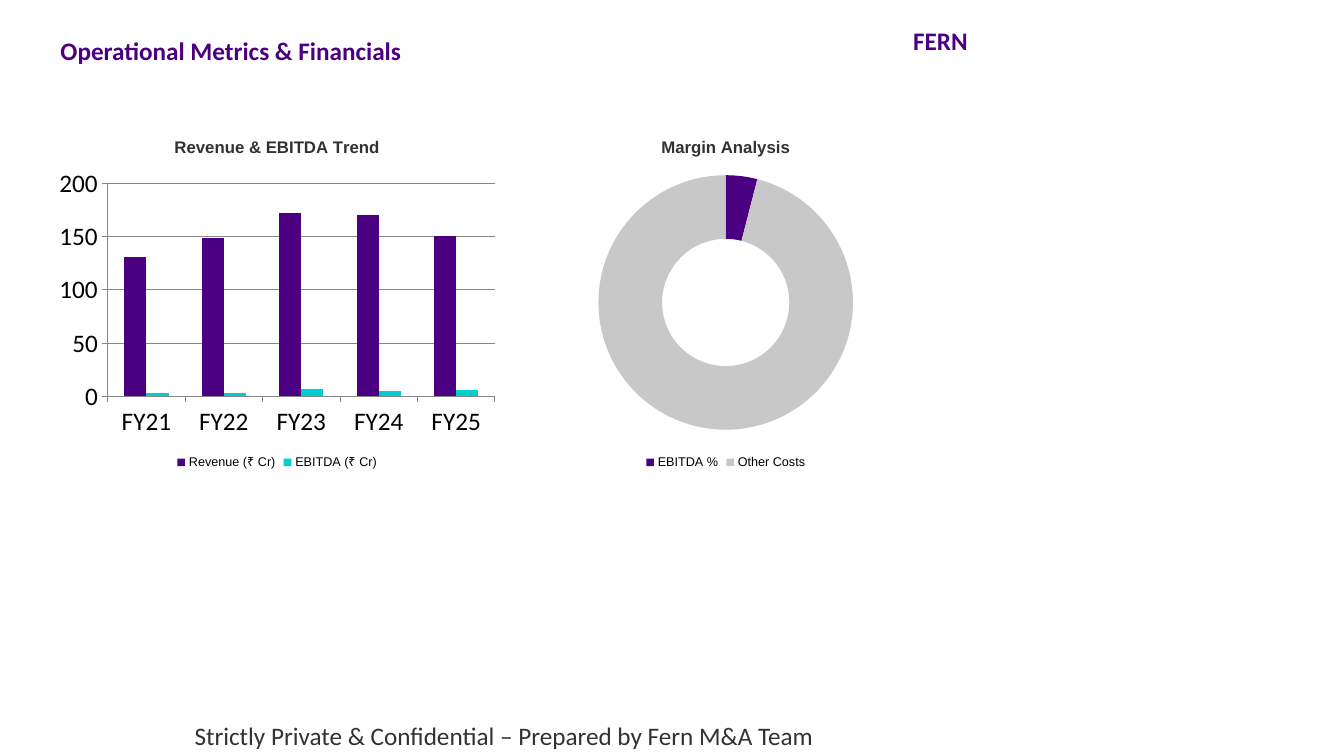
from pptx import Presentation
from pptx.chart.data import CategoryChartData
from pptx.dml.color import RGBColor
from pptx.enum.chart import XL_CHART_TYPE as ChartType, XL_LEGEND_POSITION as LegendPosition
from pptx.enum.text import MSO_ANCHOR as Anchor, MSO_AUTO_SIZE as AutoSize, PP_ALIGN as Align
from pptx.util import Pt

COLORS = {
    "indigo": "4B0082",
    "turquoise": "00CED1",
    "silver": "C8C8C8",
    "charcoal": "323232",
    "black": "000000",
}


def format_font(font, name, size, color, bold=False):
    font.name = name
    font.size = Pt(size)
    font.bold = bold
    font.color.rgb = RGBColor.from_string(COLORS[color])


def add_styled_chart(chart_type, left, width, title, categories, series):
    data = CategoryChartData()
    data.categories = categories
    for name, values in series:
        data.add_series(name, values)
    chart = slide.shapes.add_chart(
        chart_type, Pt(left), Pt(86.4), Pt(width), Pt(252), data).chart
    format_font(chart.font, "Calibri", 18, "black")
    chart.has_title = True
    run = chart.chart_title.text_frame.paragraphs[0].add_run()
    run.text = title
    format_font(run.font, "Arial", 12, "charcoal", bold=True)
    chart.has_legend = True
    chart.legend.position = LegendPosition.BOTTOM
    chart.legend.include_in_layout = False
    format_font(chart.legend.font, "Arial", 9, "black")
    return chart


presentation = Presentation()
presentation.slide_width = Pt(960)
presentation.slide_height = Pt(540)
slide = presentation.slides.add_slide(presentation.slide_layouts[5])

# Title, company name and footer
company = slide.shapes.add_textbox(0, 0, 0, 0)
footer = slide.shapes.add_textbox(0, 0, 0, 0)
texts = [
    (slide.shapes.title, (36, 21.6, 648, 43.2), Align.LEFT,
     "Operational Metrics & Financials", "indigo", True),
    (company, (612, 14.4, 86.4, 28.8), Align.RIGHT, "FERN", "indigo", True),
    (footer, (0, 511.2, 720, 21.6), Align.CENTER,
     "Strictly Private & Confidential – Prepared by Fern M&A Team", "charcoal", False),
]
for shape, box, alignment, text, color, bold in texts:
    shape.left, shape.top, shape.width, shape.height = [Pt(length) for length in box]
    frame = shape.text_frame
    frame.word_wrap = True
    frame.auto_size = AutoSize.NONE
    frame.vertical_anchor = Anchor.TOP
    paragraph = frame.paragraphs[0]
    paragraph.alignment = alignment
    run = paragraph.add_run()
    run.text = text
    format_font(run.font, "Calibri", 18, color, bold)

# Revenue and EBITDA columns
trend_chart = add_styled_chart(
    ChartType.COLUMN_CLUSTERED, 36, 324, "Revenue & EBITDA Trend",
    ["FY21", "FY22", "FY23", "FY24", "FY25"],
    [("Revenue (₹ Cr)", (131, 149, 172, 170, 151)),
     ("EBITDA (₹ Cr)", (3, 3, 7, 5, 6))])
trend_plot = trend_chart.plots[0]
trend_plot.vary_by_categories = False
trend_plot.gap_width = 150
for series, color in zip(trend_plot.series, ("indigo", "turquoise")):
    series.format.fill.solid()
    series.format.fill.fore_color.rgb = RGBColor.from_string(COLORS[color])
value_axis = trend_chart.value_axis
value_axis.minimum_scale = 0
value_axis.maximum_scale = 200
value_axis.major_unit = 50

# Margin doughnut
margin_chart = add_styled_chart(
    ChartType.DOUGHNUT, 374.4, 288, "Margin Analysis",
    ["EBITDA %", "Other Costs"], [("Series 1", (4, 96))])
margin_series = margin_chart.plots[0].series[0]
for index, color in enumerate(("indigo", "silver")):
    fill = margin_series.points[index].format.fill
    fill.solid()
    fill.fore_color.rgb = RGBColor.from_string(COLORS[color])

presentation.save("out.pptx")
